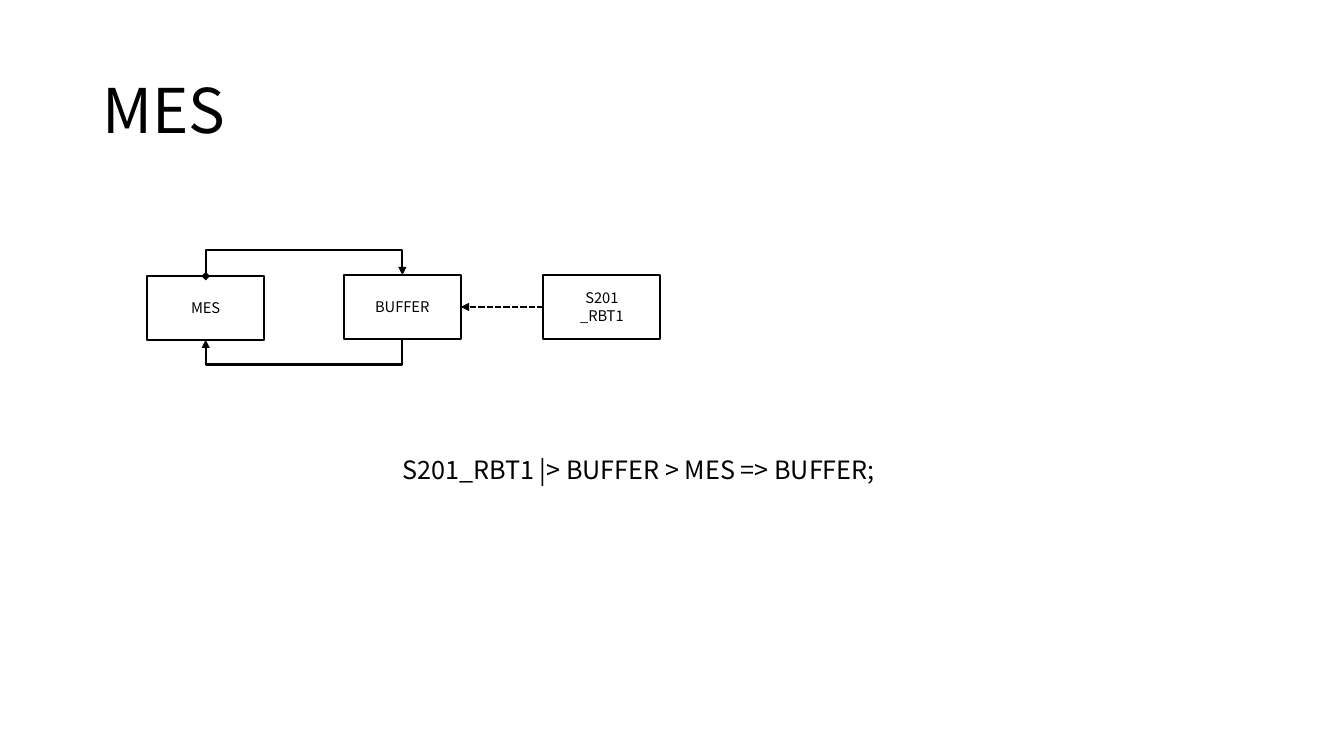
from dataclasses import dataclass

import pptx
import pptx.dml.color
import pptx.enum.dml
import pptx.enum.shapes
import pptx.enum.text
import pptx.oxml
import pptx.oxml.ns
import pptx.util
from pptx.util import Inches

ALIGN = pptx.enum.text.PP_ALIGN
ANCHOR = pptx.enum.text.MSO_ANCHOR
CONNECTOR = pptx.enum.shapes.MSO_CONNECTOR
TOP, LEFT, BOTTOM, RIGHT = range(4)


@dataclass(frozen=True)
class Theme:
    font: str = "Noto Sans CJK KR"
    ink: pptx.dml.color.RGBColor = pptx.dml.color.RGBColor(0, 0, 0)
    paper: pptx.dml.color.RGBColor = pptx.dml.color.RGBColor(255, 255, 255)
    title_size: float = 44
    formula_size: float = 18
    station_size: float = 10.5
    line_width: float = 1.5


@dataclass(frozen=True)
class Station:
    lines: tuple[str, ...]
    left: float
    top: float
    width: float = 1.16
    height: float = 0.63

    @property
    def center(self) -> float:
        return self.left + self.width / 2

    @property
    def bottom(self) -> float:
        return self.top + self.height


@dataclass(frozen=True)
class Caption:
    text: str
    left: float
    top: float
    width: float
    height: float
    size: float
    anchor: ANCHOR
    line_spacing: float


@dataclass(frozen=True)
class Loop:
    start: tuple[float, float]
    end: tuple[float, float]
    head: str | None = None


THEME = Theme()
MES = Station(("MES",), 1.46, 2.74)
BUFFER = Station(("BUFFER",), 3.41, 2.73)
ROBOT = Station(("S201", "_RBT1"), 5.39, 2.73)
CAPTIONS = (
    Caption("MES", 0.92, 0.4, 11.5, 1.45, THEME.title_size, ANCHOR.MIDDLE, 0.9),
    Caption("S201_RBT1 |> BUFFER > MES => BUFFER;", 3.89, 4.46, 6.67, 0.4,
            THEME.formula_size, ANCHOR.TOP, 1.0),
)
LOOPS = (
    Loop((MES.center, MES.top), (BUFFER.center, BUFFER.top), "diamond"),
    Loop((BUFFER.center, BUFFER.bottom), (MES.center, MES.bottom)),
)
LOOP_REACH = 0.26


def add_run(paragraph, text: str, size: float) -> None:
    run = paragraph.add_run()
    run.text = text
    run.font.name = THEME.font
    run.font.size = pptx.util.Pt(size)
    run.font.color.rgb = THEME.ink


def add_caption(slide, caption: Caption) -> None:
    box = slide.shapes.add_textbox(*map(Inches, (
        caption.left, caption.top, caption.width, caption.height)))
    frame = box.text_frame
    frame.word_wrap = True
    frame.vertical_anchor = caption.anchor
    paragraph = frame.paragraphs[0]
    paragraph.line_spacing = caption.line_spacing
    add_run(paragraph, caption.text, caption.size)


def add_station(slide, station: Station):
    box = slide.shapes.add_shape(
        pptx.enum.shapes.MSO_SHAPE.RECTANGLE,
        *map(Inches, (station.left, station.top, station.width, station.height)))
    box.shadow.inherit = False
    box.fill.solid()
    box.fill.fore_color.rgb = THEME.paper
    box.line.color.rgb = THEME.ink
    box.line.width = pptx.util.Pt(THEME.line_width)
    frame = box.text_frame
    frame.word_wrap = True
    frame.vertical_anchor = ANCHOR.MIDDLE
    for index, line in enumerate(station.lines):
        paragraph = frame.add_paragraph() if index else frame.paragraphs[0]
        paragraph.alignment = ALIGN.CENTER
        add_run(paragraph, line, THEME.station_size)
    return box


def style_arrow(arrow, head: str | None = None) -> None:
    arrow.line.color.rgb = THEME.ink
    arrow.line.width = pptx.util.Pt(THEME.line_width)
    properties = arrow._element.spPr
    stroke = arrow.line._get_or_add_ln()
    for tag, kind in (("a:headEnd", head), ("a:tailEnd", "triangle")):
        if kind:
            end = pptx.oxml.xmlchemy.OxmlElement(tag)
            end.set("type", kind)
            stroke.append(end)
    properties.append(pptx.oxml.xmlchemy.OxmlElement("a:effectLst"))


def add_loop(slide, loop: Loop) -> None:
    (x1, y1), (x2, y2) = loop.start, loop.end
    depth, span = abs(y2 - y1), abs(x2 - x1)
    left, top = (x1 + x2 - depth) / 2, (y1 + y2 - span) / 2
    arrow = slide.shapes.add_connector(
        CONNECTOR.ELBOW, *map(Inches, (left, top, left + depth, top + span)))
    properties = arrow._element.spPr
    frame = properties.find(pptx.oxml.ns.qn("a:xfrm"))
    frame.set("rot", str(90 * 60000))
    if x1 < x2:
        frame.set("flipH", "1")
        frame.set("flipV", "1")
    guides = properties.find(pptx.oxml.ns.qn("a:prstGeom")).get_or_add_avLst()
    guide = pptx.oxml.xmlchemy.OxmlElement("a:gd")
    guide.set("name", "adj1")
    guide.set("fmla", f"val {round(LOOP_REACH / depth * 100000)}")
    guides.append(guide)
    style_arrow(arrow, loop.head)


def add_feed(slide, source, target) -> None:
    arrow = slide.shapes.add_connector(CONNECTOR.STRAIGHT, 0, 0, 0, 0)
    arrow.begin_connect(source, LEFT)
    arrow.end_connect(target, RIGHT)
    arrow.line.dash_style = pptx.enum.dml.MSO_LINE.SQUARE_DOT
    style_arrow(arrow)


def main() -> None:
    presentation = pptx.Presentation()
    presentation.slide_width = Inches(13.33)
    presentation.slide_height = Inches(7.5)
    slide = presentation.slides.add_slide(presentation.slide_layouts[6])
    for caption in CAPTIONS:
        add_caption(slide, caption)
    buffer_box = add_station(slide, BUFFER)
    add_station(slide, MES)
    for loop in LOOPS:
        add_loop(slide, loop)
    robot_box = add_station(slide, ROBOT)
    add_feed(slide, robot_box, buffer_box)
    presentation.save("out.pptx")


if __name__ == "__main__":
    main()
